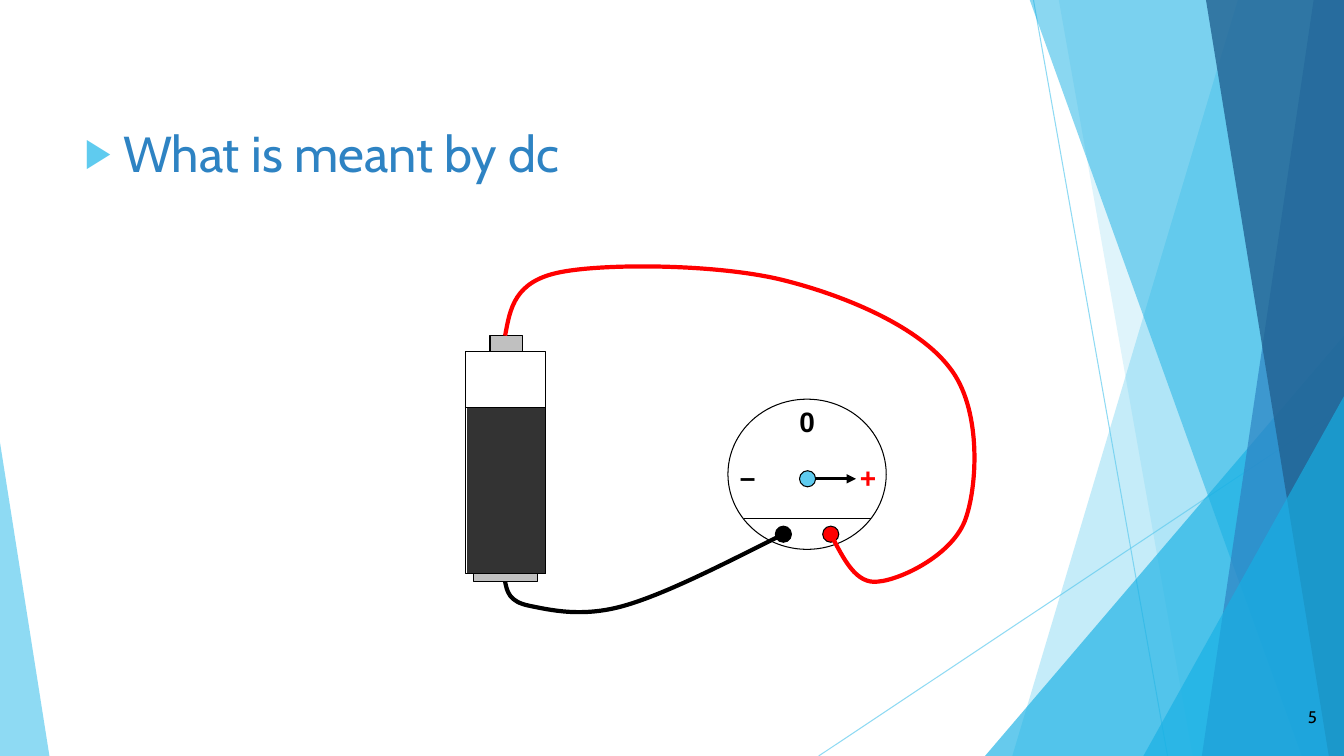
from lxml import etree
from pptx import Presentation
from pptx.dml.color import RGBColor
from pptx.enum.dml import MSO_PATTERN
from pptx.enum.shapes import MSO_CONNECTOR, MSO_SHAPE
from pptx.enum.text import MSO_ANCHOR, MSO_AUTO_SIZE, PP_ALIGN
from pptx.oxml.ns import qn
from pptx.util import Inches, Pt

RECT, OVAL, TRIANGLE = MSO_SHAPE.RECTANGLE, MSO_SHAPE.OVAL, MSO_SHAPE.ISOSCELES_TRIANGLE
LEFT, CENTER, RIGHT = PP_ALIGN.LEFT, PP_ALIGN.CENTER, PP_ALIGN.RIGHT
TOP, MIDDLE = MSO_ANCHOR.TOP, MSO_ANCHOR.MIDDLE
WIDTH, HEIGHT = 13.33, 7.5
COLORS = {
    "sky": "5FCBEF", "cyan": "17B0E4", "blue": "2E83C3", "navy": "226292",
    "white": "FFFFFF", "black": "000000", "red": "FF0000",
    "metal": "C0C0C0", "casing": "333333",
}

HEADING = "What is meant by dc"
PAGE_NUMBER = "5"

# Thin background rays: start, end
RAYS = [((10.25, 0), (11.58, HEIGHT)), ((WIDTH, 4.03), (8.12, HEIGHT))]

# Background facets, back to front.
# band: left edge at top, left edge at bottom; wedge: left, top, width, apex
FACETS = [
    ("band", (12.28, 10.04), "sky", 36),
    ("band", (10.5, 11.83), "sky", 20),
    ("wedge", (9.77, 3.33, 3.56, 1), "cyan", 66),
    ("band", (10.21, 12.91), "cyan", 50),
    ("band", (13.03, 11.92), "blue", 70),
    ("band", (11.96, 13.18), "navy", 80),
    ("wedge", (11.34, 3.93, 1.99, 1), "cyan", 66),
    ("wedge", (0, 4.39, 0.49, 0), "sky", 70),
]

# Battery parts: left, top, width, height, fill
BATTERY = [
    (4.62, 3.49, 0.79, 0.55, "white"),
    (4.86, 3.33, 0.32, 0.16, "metal"),
    (4.7, 5.69, 0.63, 0.08, "metal"),
]
BATTERY_CASING = (4.62, 4.04, 0.79, 1.65)

METER_DIAL = (7.22, 3.96, 1.57, 1.49)
METER_DIVIDER = ((7.38, 5.14), (8.64, 5.14))
NEEDLE = ((8.01, 4.75), (8.49, 4.75))
KNOB_SIZE = 0.16
HUB = (7.93, 4.67, "sky")
TERMINALS = [(7.69, 5.22, "black"), (8.16, 5.22, "red")]
# Dial marks: text, left, top, alignment, colour
DIAL_MARKS = [
    ("0", 7.77, 3.96, CENTER, "black"),
    ("+", 8.32, 4.52, RIGHT, "red"),
    ("–", 7.24, 4.51, LEFT, "black"),
]

# Wires: start point, then two control points and an end point per curve
WIRES = [
    ("red", [
        (8.24, 5.3),
        (8.37, 5.55), (8.49, 5.8), (8.71, 5.77),
        (8.94, 5.75), (9.46, 5.5), (9.58, 5.14),
        (9.7, 4.79), (9.73, 4.04), (9.42, 3.65),
        (9.12, 3.25), (8.41, 2.94), (7.77, 2.78),
        (7.13, 2.62), (6.02, 2.61), (5.56, 2.7),
        (5.1, 2.79), (5.06, 3.06), (5.01, 3.33),
    ]),
    ("black", [
        (5.01, 5.77),
        (5.03, 5.87), (5.05, 5.97), (5.25, 6.01),
        (5.45, 6.05), (5.77, 6.13), (6.19, 6.01),
        (6.61, 5.89), (7.19, 5.59), (7.77, 5.3),
    ]),
]


def rgb(color):
    return RGBColor.from_string(COLORS[color])


def set_alpha(element, percent):
    for color in element.iter(qn("a:srgbClr")):
        etree.SubElement(color, qn("a:alpha"), val=str(percent * 1000))


def style(shape, fill=None, line=None, weight=0.75):
    shape.shadow.inherit = False
    if fill:
        shape.fill.solid()
        shape.fill.fore_color.rgb = rgb(fill)
    else:
        shape.fill.background()
    if line:
        shape.line.color.rgb = rgb(line)
        shape.line.width = Pt(weight)
    else:
        shape.line.fill.background()


def add_part(shapes, kind, box, fill=None, line="black"):
    part = shapes.add_shape(kind, *map(Inches, box))
    style(part, fill, line)
    return part


def add_knob(shapes, left, top, fill):
    add_part(shapes, OVAL, (left, top, KNOB_SIZE, KNOB_SIZE), fill)


def add_line(shapes, ends, color="black", weight=0.75):
    start, end = ends
    line = shapes.add_connector(MSO_CONNECTOR.STRAIGHT, *map(Inches, start + end))
    line.line.color.rgb = rgb(color)
    line.line.width = Pt(weight)
    etree.SubElement(line._element.spPr, qn("a:effectLst"))
    return line


def add_outline(shapes, points, close):
    corners = [(Inches(x), Inches(y)) for x, y in points]
    builder = shapes.build_freeform(*corners[0])
    builder.add_line_segments(corners[1:], close=close)
    return builder.convert_to_shape()


def add_wire(shapes, color, points):
    """Draw a smooth wire by turning every three outline points into a cubic curve."""
    wire = add_outline(shapes, points, close=False)
    style(wire, line=color, weight=3)
    outline = next(wire._element.iter(qn("a:path")))
    steps = outline.findall(qn("a:lnTo"))
    for first in range(0, len(steps), 3):
        curve = etree.SubElement(outline, qn("a:cubicBezTo"))
        for step in steps[first:first + 3]:
            curve.append(step[0])
            outline.remove(step)


def add_facet(shapes, kind, place, color, opacity):
    if kind == "band":
        top_x, bottom_x = place
        corners = [(top_x, -0.01), (WIDTH, -0.01), (WIDTH, HEIGHT), (bottom_x, HEIGHT)]
        facet = add_outline(shapes, corners, close=True)
    else:
        left, top, width, apex = place
        facet = add_part(shapes, TRIANGLE, (left, top, width, HEIGHT - top))
        facet.adjustments[0] = apex
    style(facet, color)
    set_alpha(facet._element.spPr, opacity)


def write(shape, text, font, size, color, align=LEFT, bold=False, anchor=TOP):
    frame = shape.text_frame
    frame.text = text
    frame.word_wrap = True
    frame.auto_size = MSO_AUTO_SIZE.NONE
    frame.vertical_anchor = anchor
    paragraph = frame.paragraphs[0]
    paragraph.alignment = align
    paragraph.space_before = Pt(0)
    letters = paragraph.runs[0].font
    letters.name, letters.size, letters.bold = font, Pt(size), bold
    letters.color.rgb = rgb(color)


def add_label(shapes, box, *args, **kwargs):
    write(shapes.add_textbox(*map(Inches, box)), *args, **kwargs)


def add_heading(slide):
    slide.shapes.title._element.getparent().remove(slide.shapes.title._element)
    heading = slide.placeholders[1]
    heading.left, heading.top, heading.width, heading.height = map(
        Inches, (0.74, 1.16, 11.31, 1.83))
    write(heading, HEADING, "Cabin", 36, "blue")
    layout = heading.text_frame.paragraphs[0]._p.get_or_add_pPr()
    layout.set("marL", str(Inches(0.38)))
    layout.set("indent", str(-Inches(0.38)))
    bullet_color = etree.SubElement(layout, qn("a:buClr"))
    etree.SubElement(bullet_color, qn("a:srgbClr"), val=COLORS["sky"])
    etree.SubElement(layout, qn("a:buSzPct"), val="80000")
    etree.SubElement(layout, qn("a:buFont"), typeface="Arial")
    etree.SubElement(layout, qn("a:buChar"), char="▶")
    heading._element.getparent().append(heading._element)


def main():
    deck = Presentation()
    deck.slide_width, deck.slide_height = Inches(WIDTH), Inches(HEIGHT)
    slide = deck.slides.add_slide(deck.slide_layouts[1])
    shapes = slide.shapes

    for ends in RAYS:
        ray = add_line(shapes, ends, "sky")
        set_alpha(ray._element.spPr, 70)
    for facet in FACETS:
        add_facet(shapes, *facet)

    for *box, fill in BATTERY:
        add_part(shapes, RECT, box, fill)
    casing = add_part(shapes, RECT, BATTERY_CASING)
    casing.fill.patterned()
    casing.fill.pattern = MSO_PATTERN.DARK_VERTICAL
    casing.fill.fore_color.rgb = rgb("casing")
    casing.fill.back_color.rgb = rgb("white")

    add_part(shapes, OVAL, METER_DIAL)
    for mark, left, top, align, color in DIAL_MARKS:
        add_label(shapes, (left, top, 0.47, 0.43), mark, "Arial", 20, color, align, bold=True)
    needle = add_line(shapes, NEEDLE, weight=2.25)
    etree.SubElement(needle.line._get_or_add_ln(), qn("a:tailEnd"), type="triangle")
    add_knob(shapes, *HUB)
    add_line(shapes, METER_DIVIDER)
    for terminal in TERMINALS:
        add_knob(shapes, *terminal)
    for color, points in WIRES:
        add_wire(shapes, color, points)

    add_heading(slide)
    add_label(shapes, (12.41, 6.91, 0.75, 0.4), PAGE_NUMBER, "Cabin", 12, "black", RIGHT,
              anchor=MIDDLE)
    deck.save("out.pptx")


if __name__ == "__main__":
    main()
